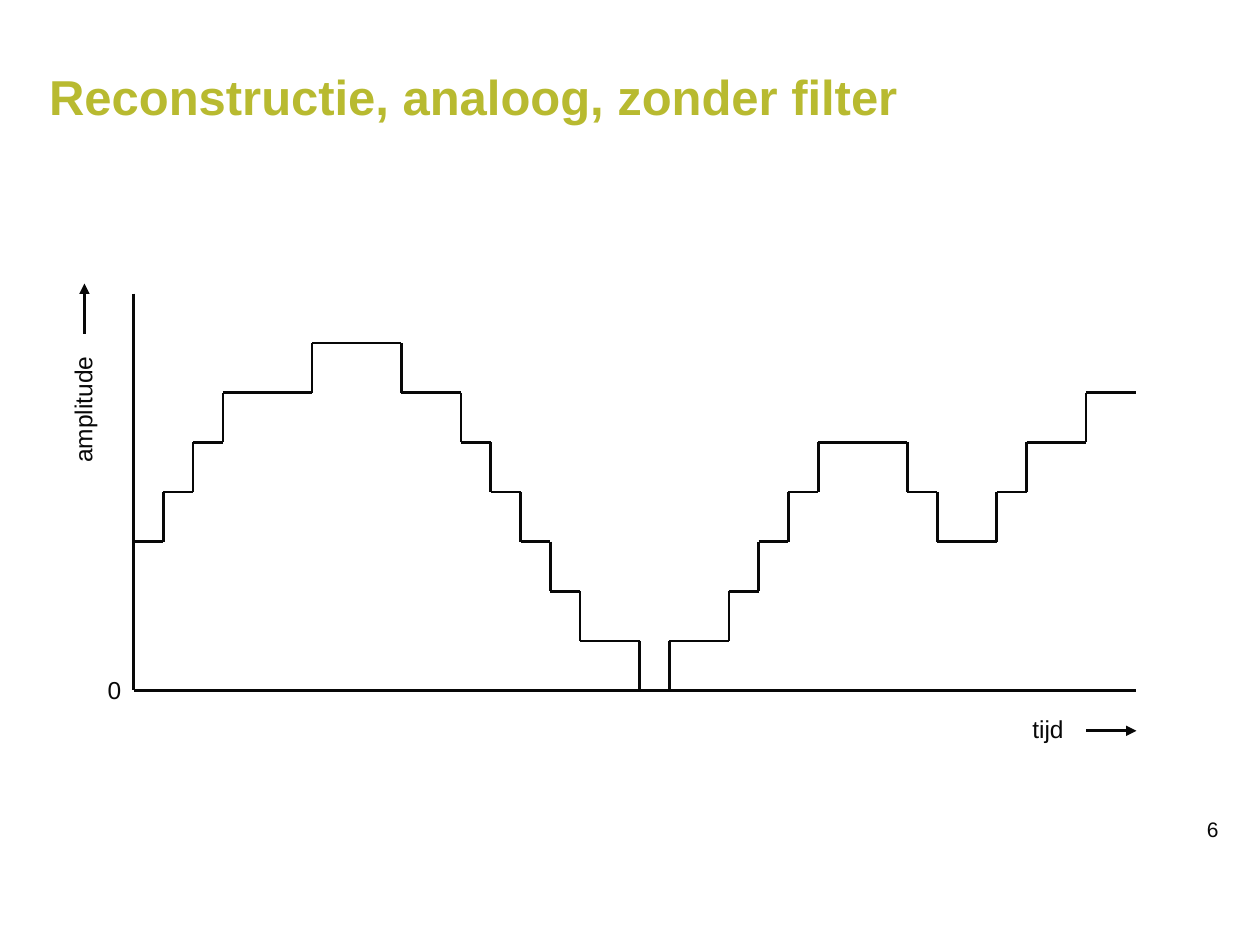
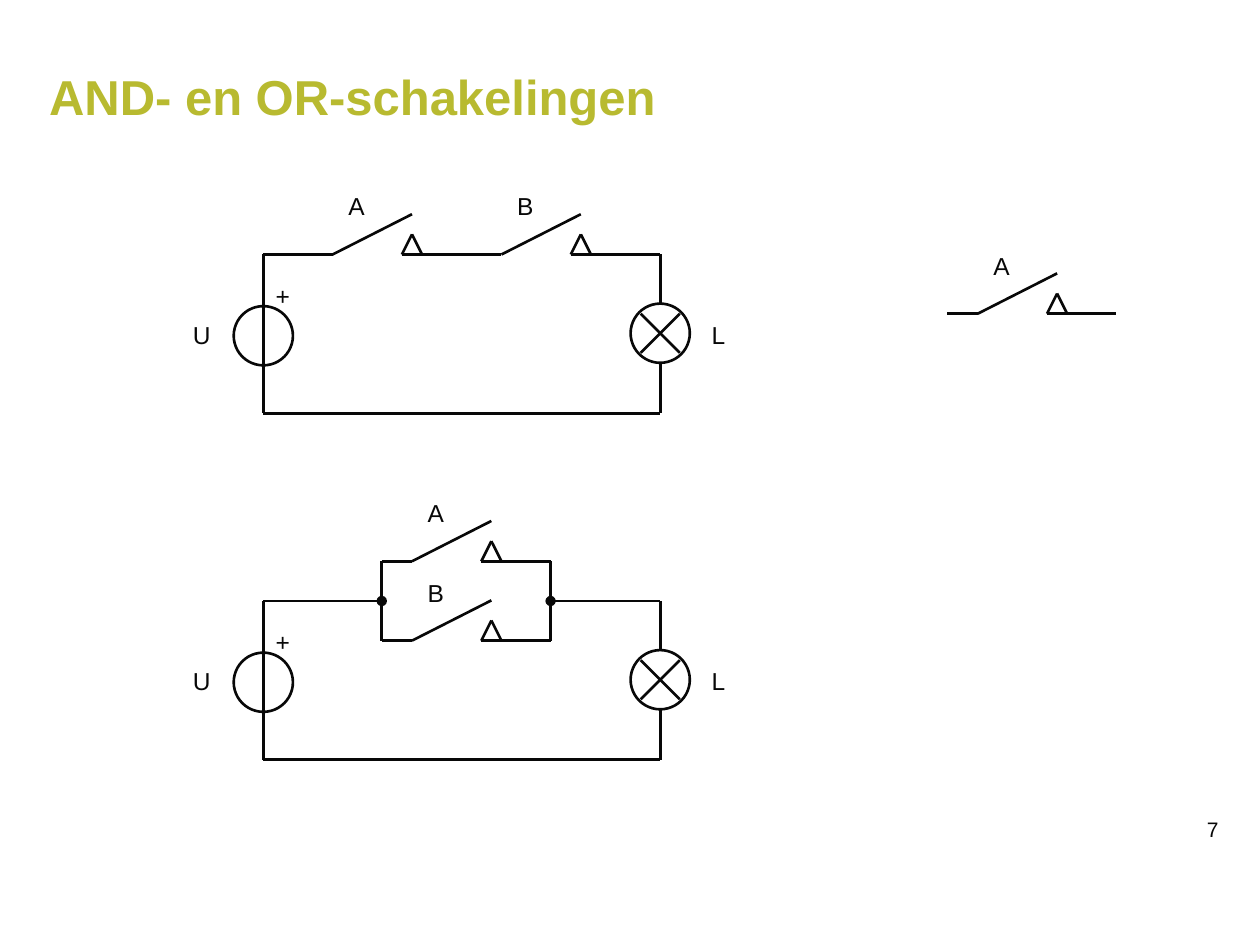
from lxml import etree
from pptx import Presentation
from pptx.dml.color import RGBColor
from pptx.enum.shapes import MSO_CONNECTOR, MSO_SHAPE
from pptx.enum.text import MSO_ANCHOR, MSO_AUTO_SIZE, PP_ALIGN
from pptx.oxml.ns import qn
from pptx.util import Inches, Pt

STRAIGHT = MSO_CONNECTOR.STRAIGHT
ELLIPSE = MSO_SHAPE.OVAL
MIDDLE = MSO_ANCHOR.MIDDLE
NO_FIT, GROW = MSO_AUTO_SIZE.NONE, MSO_AUTO_SIZE.SHAPE_TO_FIT_TEXT
LEFT, CENTER, RIGHT = PP_ALIGN.LEFT, PP_ALIGN.CENTER, PP_ALIGN.RIGHT

INK = RGBColor(0x08, 0x08, 0x08)
OLIVE = RGBColor(0xB8, 0xBA, 0x30)
FONT = "Arial"
LINE_WIDTH = Pt(1.5)
TITLE_ONLY = 5

LABEL_HEIGHT = 0.34
SYMBOL_SIZE = 0.47
LOOP_WIDTH, LOOP_HEIGHT = 3.15, 1.26
CONTACT_OFFSET = 0.55

LEVELS = [3, 4, 5, 6, 6, 6, 7, 7, 7, 6, 6, 5, 4, 3, 2, 1, 1,
          0, 1, 1, 2, 3, 4, 5, 5, 5, 4, 3, 3, 4, 5, 5, 6, 6]


def add_run(paragraph, text, size, color=INK, bold=False):
    run = paragraph.add_run()
    run.text = text
    run.font.name = FONT
    run.font.size = Pt(size)
    run.font.bold = bold
    run.font.color.rgb = color


def add_line(shapes, start, end, head=None, tail=None):
    """Draw a straight line; head and tail name the ends at start and end."""
    connector = shapes.add_connector(
        STRAIGHT, *(Inches(value) for value in (*start, *end)))
    connector.line.color.rgb = INK
    connector.line.width = LINE_WIDTH
    properties = connector._element.spPr
    outline = properties.find(qn("a:ln"))
    for tag, kind in (("a:headEnd", head), ("a:tailEnd", tail)):
        if kind:
            etree.SubElement(outline, qn(tag), type=kind)
    etree.SubElement(properties, qn("a:effectLst"))


def add_label(slide, text, left, top, width, align=RIGHT, rotation=0):
    box = slide.shapes.add_textbox(
        Inches(left), Inches(top), Inches(width), Inches(LABEL_HEIGHT))
    box.rotation = rotation
    box.text_frame.word_wrap = True
    box.text_frame.auto_size = GROW
    paragraph = box.text_frame.paragraphs[0]
    paragraph.alignment = align
    paragraph.space_before = Pt(8.8)
    add_run(paragraph, text, 14)


def add_circle(shapes, left, top):
    circle = shapes.add_shape(ELLIPSE, Inches(left), Inches(top),
                              Inches(SYMBOL_SIZE), Inches(SYMBOL_SIZE))
    circle.shadow.inherit = False
    circle.fill.background()
    circle.line.color.rgb = INK
    circle.line.width = LINE_WIDTH


def add_titled_slide(presentation, title_text, number):
    slide = presentation.slides.add_slide(
        presentation.slide_layouts[TITLE_ONLY])
    title = slide.shapes.title
    title.left, title.top = Inches(0.39), Inches(0.39)
    title.width, title.height = Inches(9.21), Inches(0.75)
    frame = title.text_frame
    frame.margin_left = frame.margin_right = 0
    frame.margin_top = frame.margin_bottom = 0
    frame.vertical_anchor = MIDDLE
    frame.word_wrap = True
    frame.auto_size = NO_FIT
    frame.paragraphs[0].alignment = LEFT
    add_run(frame.paragraphs[0], title_text, 28, OLIVE, bold=True)

    number_box = slide.shapes.add_textbox(
        Inches(7.44), Inches(6.43), Inches(2.33), Inches(0.52))
    number_box.text_frame.word_wrap = True
    paragraph = number_box.text_frame.paragraphs[0]
    paragraph.alignment = RIGHT
    add_run(paragraph, str(number), 12)
    return slide


def add_axes(slide, left, top, width, height):
    shapes = slide.shapes
    right, bottom = left + width, top + height
    add_line(shapes, (left, bottom), (right, bottom))
    add_line(shapes, (left, top), (left, bottom))
    arrow_x, arrow_y = left - 0.39, bottom + 0.32
    add_line(shapes, (arrow_x, top + 0.32), (arrow_x, top - 0.08),
             tail="triangle")
    add_label(slide, "amplitude", left - 1.03, top + 0.86, 1.26, rotation=270)
    add_line(shapes, (right - 0.4, arrow_y), (right, arrow_y), tail="triangle")
    add_label(slide, "tijd", right - 1.03, arrow_y - 0.18, 0.55)
    add_label(slide, "0", left - 0.31, bottom - 0.17, 0.31)


def add_staircase(slide, left, top, width, height):
    """Draw the sampled signal: a tread per sample, a riser per change."""
    step = 7.56 / 32
    rise = height / 8
    previous = LEVELS[0]
    for index, level in enumerate(LEVELS):
        x = left + index * step
        y = top + height - level * rise
        if level != previous:
            add_line(slide.shapes, (x, y + (level - previous) * rise), (x, y))
        if level:
            last = index == len(LEVELS) - 1
            end = left + width if last else x + step
            add_line(slide.shapes, (x, y), (end, y))
        previous = level


def add_switch(slide, name, pivot_x, y, lead_in, lead_out):
    """Draw an open switch with its wires before pivot and after contact."""
    shapes = slide.shapes
    contact_x = pivot_x + CONTACT_OFFSET
    tip_x = contact_x + 0.08
    if lead_in:
        add_line(shapes, (pivot_x - lead_in, y), (pivot_x, y))
    add_line(shapes, (pivot_x, y), (tip_x, y - 0.32))
    for foot_x in (contact_x, contact_x + 0.16):
        add_line(shapes, (foot_x, y), (tip_x, y - 0.16))
    add_line(shapes, (contact_x, y), (contact_x + lead_out, y))
    add_label(slide, name, pivot_x - 0.24, y - 0.55, 0.86, CENTER)


def add_lamp(slide, left, top):
    lamp = slide.shapes.add_group_shape().shapes
    add_circle(lamp, left, top)
    near, far = 0.08, 0.39
    add_line(lamp, (left + near, top + near), (left + far, top + far))
    add_line(lamp, (left + far, top + near), (left + near, top + far))


def add_loop(slide, left, top):
    """Draw source, lamp and wires; the top side is left for the switches."""
    shapes = slide.shapes
    right, bottom = left + LOOP_WIDTH, top + LOOP_HEIGHT
    lamp_top = top + 0.39
    radius = SYMBOL_SIZE / 2
    add_line(shapes, (left, top), (left, bottom))
    add_line(shapes, (left, bottom), (right, bottom))
    add_line(shapes, (right, top), (right, lamp_top))
    add_line(shapes, (right, lamp_top + SYMBOL_SIZE), (right, bottom))
    add_circle(shapes, left - radius, top + 0.41)
    add_lamp(slide, right - radius, lamp_top)
    add_label(slide, "U", left - 0.71, top + 0.47, 0.39)
    add_label(slide, "+", left - 0.08, top + 0.16, 0.39)
    add_label(slide, "L", right + 0.31, top + 0.47, 0.39, LEFT)


def add_and_circuit(slide, left, top):
    add_loop(slide, left, top)
    pivot_a, pivot_b = left + 0.55, left + 1.89
    add_switch(slide, "A", pivot_a, top, 0.55,
               pivot_b - pivot_a - CONTACT_OFFSET)
    add_switch(slide, "B", pivot_b, top, 0,
               left + LOOP_WIDTH - pivot_b - CONTACT_OFFSET)


def add_or_circuit(slide, left, top):
    add_loop(slide, left, top)
    shapes = slide.shapes
    split, merge = left + 0.94, left + 2.28
    branch_gap = 0.315
    add_line(shapes, (left, top), (split, top), tail="oval")
    add_line(shapes, (merge, top), (left + LOOP_WIDTH, top), head="oval")
    for x in (split, merge):
        add_line(shapes, (x, top - branch_gap), (x, top + branch_gap))
    for name, y in (("A", top - branch_gap), ("B", top + branch_gap)):
        add_switch(slide, name, split + 0.24, y, 0.24, 0.55)


def main():
    presentation = Presentation()
    presentation.slide_width = Inches(10)
    presentation.slide_height = Inches(7.5)

    signal_slide = add_titled_slide(
        presentation, "Reconstructie, analoog, zonder filter", 6)
    plot_area = (1.06, 2.33, 7.96, 3.15)
    add_axes(signal_slide, *plot_area)
    add_staircase(signal_slide, *plot_area)

    circuit_slide = add_titled_slide(
        presentation, "AND- en OR-schakelingen", 7)
    add_and_circuit(circuit_slide, 2.09, 2.02)
    add_or_circuit(circuit_slide, 2.09, 4.77)
    add_switch(circuit_slide, "A", 7.76, 2.49, 0.24, 0.55)

    presentation.save("out.pptx")


if __name__ == "__main__":
    main()
